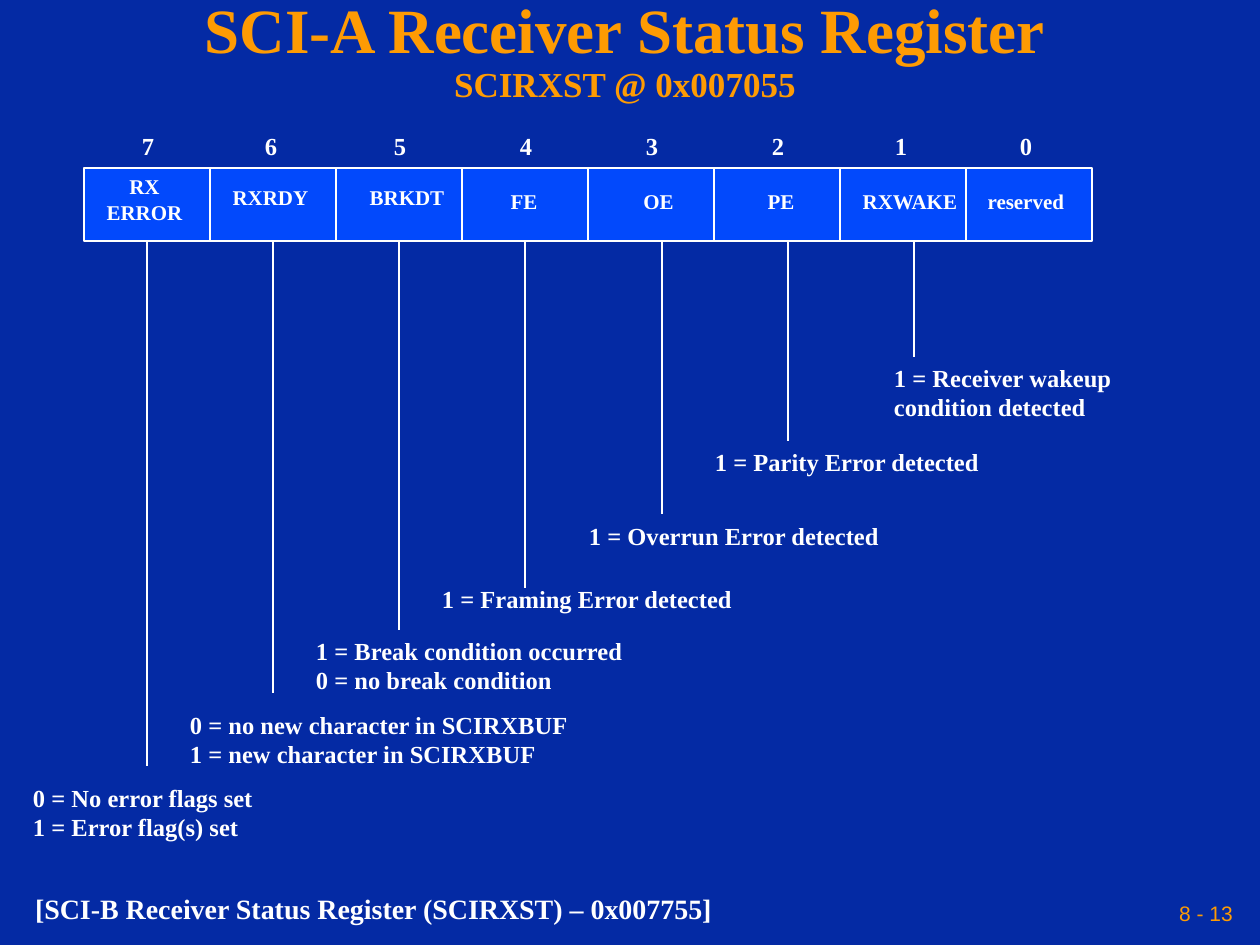
import pptx
import pptx.dml.color
import pptx.enum.shapes
import pptx.enum.text
import pptx.util
from lxml import etree

RGBColor = pptx.dml.color.RGBColor
ALIGN = pptx.enum.text.PP_ALIGN
ANCHOR = pptx.enum.text.MSO_ANCHOR
AUTO_SIZE = pptx.enum.text.MSO_AUTO_SIZE

NAVY = RGBColor(0x04, 0x2A, 0xA4)
BLUE = RGBColor(0x02, 0x49, 0xFC)
ORANGE = RGBColor(0xFE, 0x9B, 0x03)
WHITE = RGBColor(0xFF, 0xFF, 0xFF)

PX = pptx.util.Inches(1) // 126
A_NS = "http://schemas.openxmlformats.org/drawingml/2006/main"

CELL_LEFT, CELL_TOP, CELL_W, CELL_H = 84, 168, 126, 73
LEADER_TOP = CELL_TOP + CELL_H + 1

# Bits 7 to 0: digit left, label lines, label (left, top, width)
BITS = [
    (130, ["RX", "ERROR"], (94, 168, 101)),
    (253, ["RXRDY"], (220, 179, 101)),
    (382, ["BRKDT"], (357, 179, 100)),
    (508, ["FE"], (498, 183, 52)),
    (634, ["OE"], (631, 183, 55)),
    (760, ["PE"], (755, 183, 52)),
    (883, ["RXWAKE"], (849, 183, 122)),
    (1008, ["reserved"], (975, 183, 102)),
]

# Leader x, leader end y, note (left, top, width, height), note lines
NOTES = [
    (147, 766, (21, 777, 246, 71),
     ["0 = No error flags set", "1 = Error flag(s) set"]),
    (273, 693, (178, 704, 403, 71),
     ["0 = no new character in SCIRXBUF", "1 = new character in SCIRXBUF"]),
    (399, 630, (304, 630, 333, 71),
     ["1 = Break condition occurred", "0 = no break condition"]),
    (525, 588, (430, 578, 316, 42), ["1 = Framing Error detected"]),
    (662, 514, (577, 515, 316, 42), ["1 = Overrun Error detected"]),
    (788, 441, (703, 441, 290, 42), ["1 = Parity Error detected"]),
    (914, 357, (882, 357, 290, 71), ["1 = Receiver wakeup condition detected"]),
]
WRAPPED_NOTE = NOTES[-1]


class Sheet:
    """Current slide plus its style; all lengths are px."""

    def __init__(self, slide, font="Times New Roman"):
        self.slide = slide
        self.font = font

    def set_font(self, p, size, color=WHITE, name=None, bold=True):
        p.font.name = name or self.font
        p.font.size = pptx.util.Pt(size)
        p.font.bold = bold
        p.font.color.rgb = color

    def set_inset(self, tf, side, vertical):
        tf.margin_left = tf.margin_right = side * PX
        tf.margin_top = tf.margin_bottom = vertical * PX

    def title(self, box, main, sub):
        sp = self.slide.shapes.title
        sp.left, sp.top, sp.width, sp.height = [v * PX for v in box]
        tf = sp.text_frame
        tf.auto_size = AUTO_SIZE.NONE
        tf.vertical_anchor = ANCHOR.MIDDLE
        self.set_inset(tf, 6, 6)
        p = tf.paragraphs[0]
        p.alignment = ALIGN.CENTER
        p.line_spacing = 0.9
        self.set_font(p, 36, ORANGE)
        p.add_run().text = main
        p.add_line_break()
        r = p.add_run()
        r.text = sub
        r.font.size = pptx.util.Pt(20)

    def text(self, box, lines, size, align=ALIGN.LEFT, wrap=False,
             spacing=None, side=12, anchor=ANCHOR.TOP, **style):
        """Add a text box; one that does not wrap grows with its text."""
        sp = self.slide.shapes.add_textbox(*[v * PX for v in box])
        tf = sp.text_frame
        tf.word_wrap = wrap
        tf.auto_size = AUTO_SIZE.NONE if wrap else AUTO_SIZE.SHAPE_TO_FIT_TEXT
        tf.vertical_anchor = anchor
        self.set_inset(tf, side, 6)
        for i, line in enumerate(lines):
            p = tf.add_paragraph() if i else tf.paragraphs[0]
            p.text = line
            p.alignment = align
            p.line_spacing = spacing
            self.set_font(p, size, **style)

    def cell(self, box):
        sp = self.slide.shapes.add_shape(
            pptx.enum.shapes.MSO_SHAPE.RECTANGLE, *[v * PX for v in box])
        sp.shadow.inherit = False
        sp.fill.solid()
        sp.fill.fore_color.rgb = BLUE
        sp.line.color.rgb = WHITE
        sp.line.width = pptx.util.Pt(1)

    def leader(self, x, top, bottom):
        line = self.slide.shapes.add_connector(
            pptx.enum.shapes.MSO_CONNECTOR.STRAIGHT,
            x * PX, top * PX, x * PX, bottom * PX)
        line.line.color.rgb = WHITE
        line.line.width = pptx.util.Pt(1)
        etree.SubElement(line._element.spPr, f"{{{A_NS}}}effectLst")


def main():
    prs = pptx.Presentation()
    prs.slide_width, prs.slide_height = 1260 * PX, 945 * PX
    slide = prs.slides.add_slide(prs.slide_layouts.get_by_name("Title Only"))
    slide.background.fill.solid()
    slide.background.fill.fore_color.rgb = NAVY

    s = Sheet(slide)
    s.title((0, 0, 1250, 105), "SCI-A Receiver Status Register",
            "SCIRXST @ 0x007055")

    for i in range(len(BITS)):
        s.cell((CELL_LEFT + i * CELL_W, CELL_TOP, CELL_W, CELL_H))
    for i, (digit_left, label, (left, top, width)) in enumerate(BITS):
        s.text((digit_left, 125, 38, 42), [str(7 - i)], 14)
        height = 13 + 25 * len(label)
        s.text((left, top, width, height), label, 12, ALIGN.CENTER)

    for note in NOTES:
        x, bottom, box, lines = note
        s.leader(x, LEADER_TOP, bottom)
        s.text(box, lines, 14, wrap=note is WRAPPED_NOTE)

    s.text((23, 892, 703, 40),
           ["[SCI-B Receiver Status Register (SCIRXST) – 0x007755]"], 16,
           spacing=0.8)
    s.text((861, 892, 378, 42), ["8 - 13"], 12, ALIGN.RIGHT, wrap=True,
           side=6, anchor=ANCHOR.MIDDLE, color=ORANGE, name="Arial", bold=False)
    prs.save("out.pptx")


if __name__ == "__main__":
    main()
